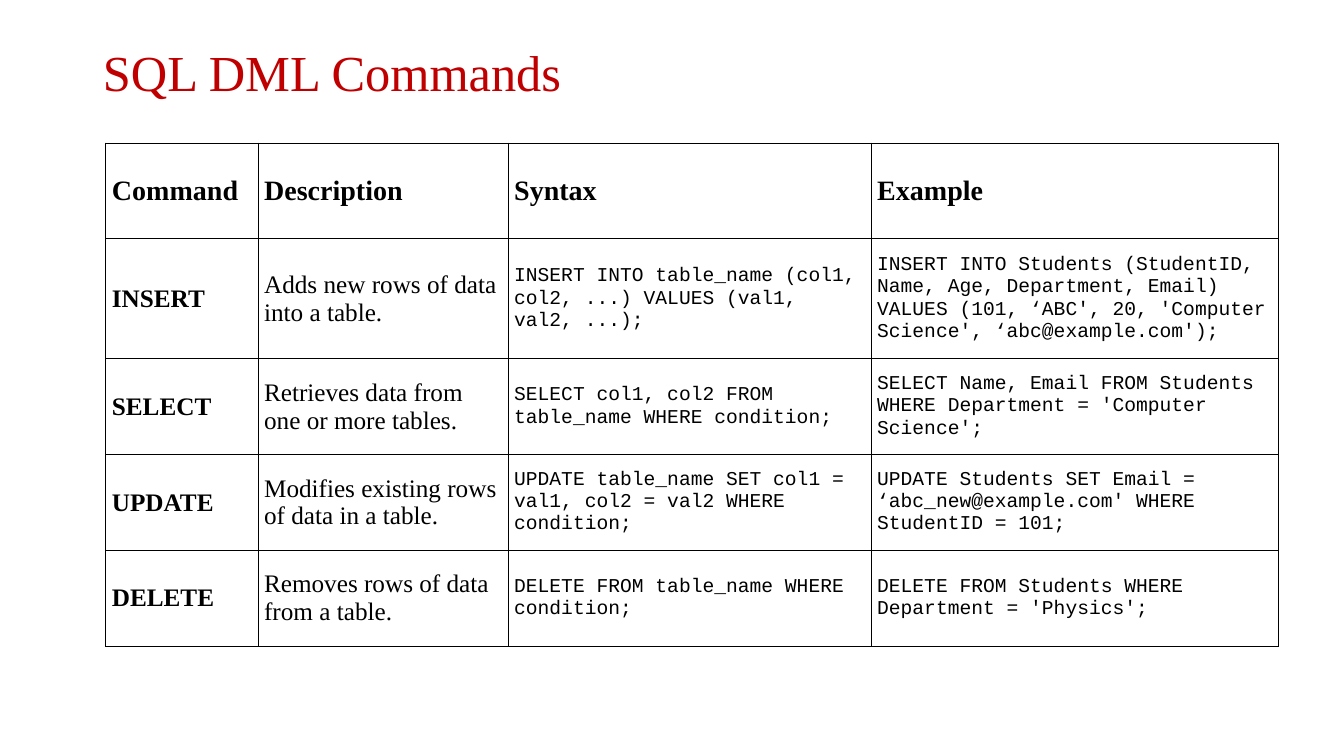
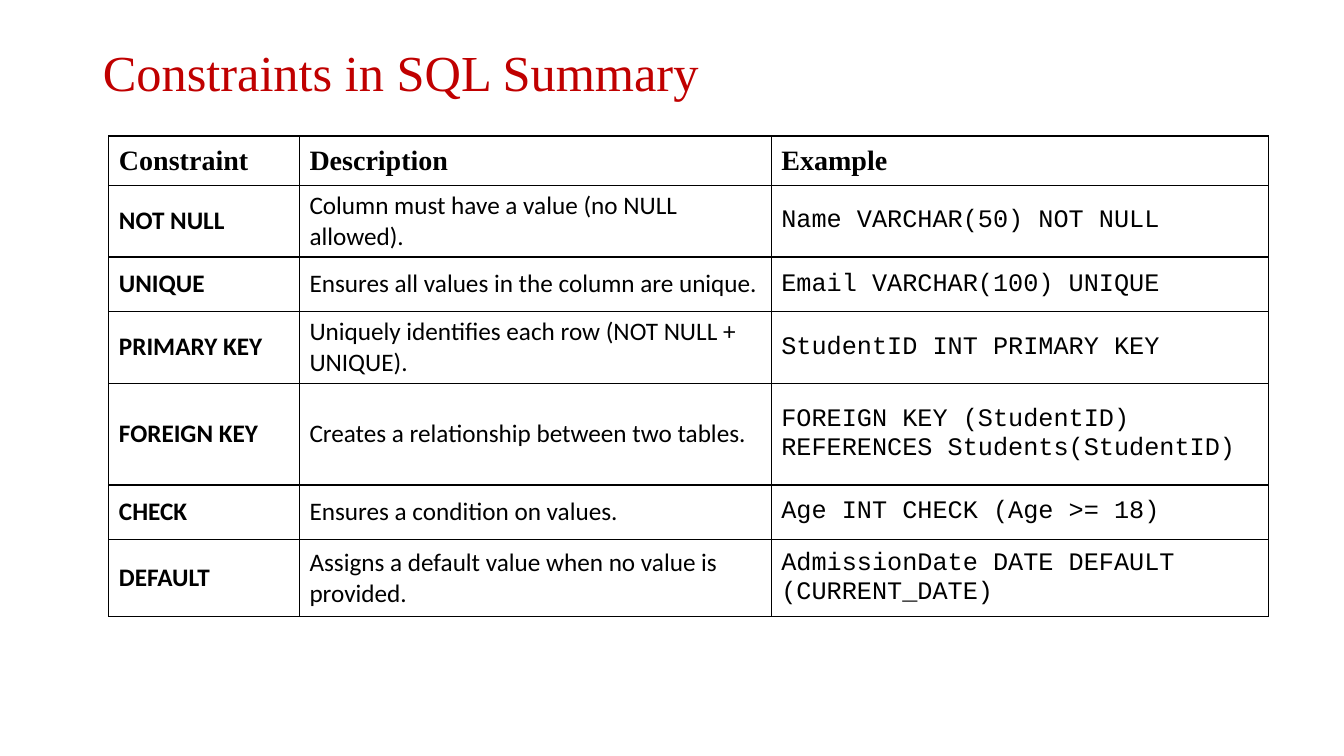
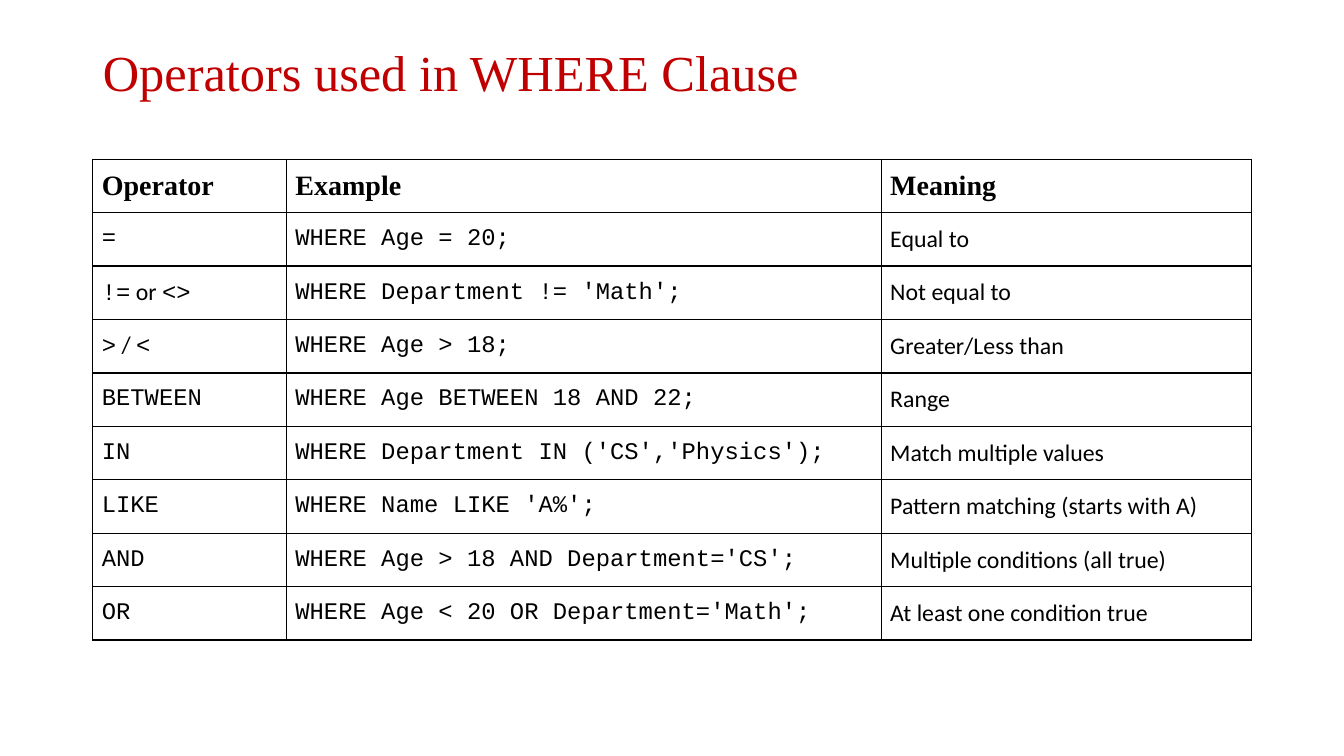
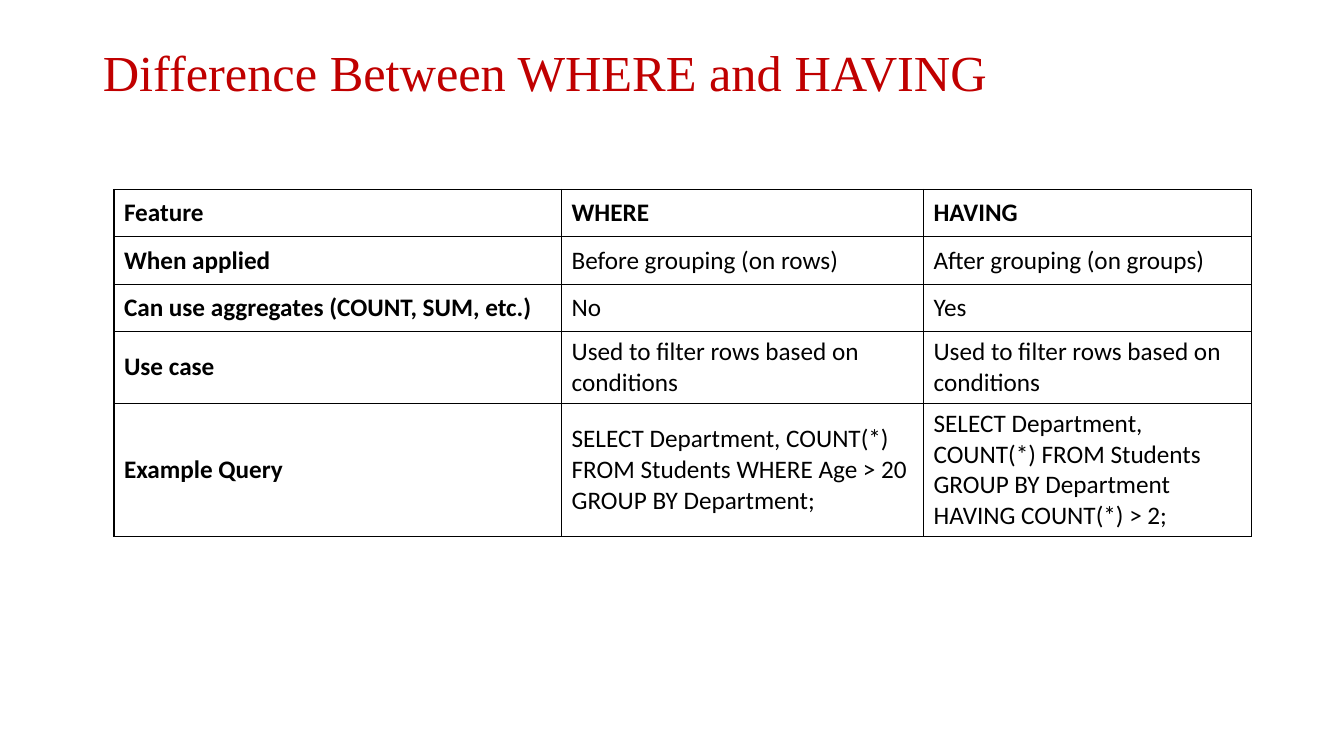
from lxml.etree import SubElement
from pptx import Presentation
from pptx.dml.color import RGBColor
from pptx.enum.text import MSO_ANCHOR as Anchor, PP_ALIGN as Align
from pptx.oxml.ns import qn
from pptx.util import Inches, Pt

COLORS = {"title": "C00000", "ink": "000000"}
SERIF, SANS, CODE = "Times New Roman", "Calibri", "Courier New"
TITLE_BOX = (0.92, 0.4, 11.5, 0.7)
HEADING = (SERIF, 20, True)

# Styles are (font, size, bold). A cell of several fonts is a list of (text, font).
TABLES = [
    {
        "title": "SQL DML Commands",
        "at": (1.05, 1.42),
        "columns": [1.51, 2.48, 3.6, 4.04],
        "heights": [0.95, 1.19, 0.95, 0.95, 0.95],
        "margins": (0.06, 0.03),
        "heading": HEADING,
        "styles": [(SERIF, 18, True), (SERIF, 18, False), (CODE, 14, False), (CODE, 14, False)],
        "rows": [
            ("Command", "Description", "Syntax", "Example"),
            ("INSERT", "Adds new rows of data into a table.",
             "INSERT INTO table_name (col1, col2, ...) VALUES (val1, val2, ...);",
             "INSERT INTO Students (StudentID, Name, Age, Department, Email) "
             "VALUES (101, ‘ABC', 20, 'Computer Science', ‘abc@example.com');"),
            ("SELECT", "Retrieves data from one or more tables.",
             "SELECT col1, col2 FROM table_name WHERE condition;",
             "SELECT Name, Email FROM Students WHERE Department = 'Computer Science';"),
            ("UPDATE", "Modifies existing rows of data in a table.",
             "UPDATE table_name SET col1 = val1, col2 = val2 WHERE condition;",
             "UPDATE Students SET Email = ‘abc_new@example.com' WHERE StudentID = 101;"),
            ("DELETE", "Removes rows of data from a table.",
             "DELETE FROM table_name WHERE condition;",
             "DELETE FROM Students WHERE Department = 'Physics';"),
        ],
    },
    {
        "title": "Constraints in SQL Summary",
        "at": (1.08, 1.35),
        "columns": [1.89, 4.68, 4.93],
        "heights": [0.49, 0.54, 0.54, 0.54, 1.01, 0.54, 0.77],
        "margins": (0.1, 0.05),
        "heading": HEADING,
        "styles": [(SANS, 18, True), (SANS, 18, False), (CODE, 18, False)],
        "rows": [
            ("Constraint", "Description", "Example"),
            ("NOT NULL", "Column must have a value (no NULL allowed).",
             "Name VARCHAR(50) NOT NULL"),
            ("UNIQUE", "Ensures all values in the column are unique.",
             "Email VARCHAR(100) UNIQUE"),
            ("PRIMARY KEY", "Uniquely identifies each row (NOT NULL + UNIQUE).",
             "StudentID INT PRIMARY KEY"),
            ("FOREIGN KEY", "Creates a relationship between two tables.",
             "FOREIGN KEY (StudentID) REFERENCES Students(StudentID)"),
            ("CHECK", "Ensures a condition on values.", "Age INT CHECK (Age >= 18)"),
            ("DEFAULT", "Assigns a default value when no value is provided.",
             "AdmissionDate DATE DEFAULT (CURRENT_DATE)"),
        ],
    },
    {
        "title": "Operators used in WHERE Clause",
        "at": (0.92, 1.58),
        "columns": [1.92, 5.9, 3.67],
        "heights": [0.53] * 9,
        "margins": (0.09, 0.05),
        "heading": HEADING,
        "styles": [(CODE, 17, False), (CODE, 17, False), (SANS, 17, False)],
        "rows": [
            ("Operator", "Example", "Meaning"),
            ("=", "WHERE Age = 20;", "Equal to"),
            ([("!=", CODE), (" or ", SANS), ("<>", CODE)],
             "WHERE Department != 'Math';", "Not equal to"),
            ([(">", CODE), (" / ", SANS), ("<", CODE)], "WHERE Age > 18;", "Greater/Less than"),
            ("BETWEEN", "WHERE Age BETWEEN 18 AND 22;", "Range"),
            ("IN", "WHERE Department IN ('CS','Physics');", "Match multiple values"),
            ("LIKE", "WHERE Name LIKE 'A%';", "Pattern matching (starts with A)"),
            ("AND", "WHERE Age > 18 AND Department='CS';", "Multiple conditions (all true)"),
            ("OR", "WHERE Age < 20 OR Department='Math';", "At least one condition true"),
        ],
    },
    {
        "title": "Difference Between WHERE and HAVING",
        "at": (1.13, 1.88),
        "columns": [4.44, 3.59, 3.25],
        "heights": [0.47] * 5,
        "margins": (0.1, 0.05),
        "heading": (SANS, 18, True),
        "styles": [(SANS, 18, True), (SANS, 18, False), (SANS, 18, False)],
        "rows": [
            ("Feature", "WHERE", "HAVING"),
            ("When applied", "Before grouping (on rows)", "After grouping (on groups)"),
            ("Can use aggregates (COUNT, SUM, etc.)", "No", "Yes"),
            ("Use case", "Used to filter rows based on conditions",
             "Used to filter rows based on conditions"),
            ("Example Query",
             "SELECT Department, COUNT(*) FROM Students WHERE Age > 20 GROUP BY Department;",
             "SELECT Department, COUNT(*) FROM Students GROUP BY Department HAVING COUNT(*) > 2;"),
        ],
    },
]


def add_run(paragraph, text, font, size, bold, color):
    run = paragraph.add_run()
    run.text = text
    run.font.name = font
    run.font.size = Pt(size)
    run.font.bold = bold
    run.font.color.rgb = RGBColor.from_string(COLORS[color])


def place_title(layout):
    """Set the title position and anchor that every slide inherits."""
    title = layout.placeholders[0]
    title.left, title.top, title.width, title.height = map(Inches, TITLE_BOX)
    title.text_frame.vertical_anchor = Anchor.MIDDLE


def add_title(slide, text):
    paragraph = slide.shapes.title.text_frame.paragraphs[0]
    paragraph.alignment = Align.LEFT
    paragraph.line_spacing = 0.9
    add_run(paragraph, text, SERIF, 36, False, "title")


def add_borders(cell):
    properties = cell._tc.get_or_add_tcPr()
    for side in ("a:lnL", "a:lnR", "a:lnT", "a:lnB"):
        line = SubElement(properties, qn(side), w=str(Pt(1)))
        fill = SubElement(line, qn("a:solidFill"))
        SubElement(fill, qn("a:srgbClr"), val=COLORS["ink"])


def fill_cell(cell, content, style, margins):
    add_borders(cell)
    cell.fill.background()
    cell.vertical_anchor = Anchor.MIDDLE
    cell.margin_left = cell.margin_right = Inches(margins[0])
    cell.margin_top = cell.margin_bottom = Inches(margins[1])
    font, size, bold = style
    pieces = [(content, font)] if isinstance(content, str) else content
    for text, piece_font in pieces:
        add_run(cell.text_frame.paragraphs[0], text, piece_font, size, bold, "ink")


def add_grid(slide, data):
    columns, heights, rows = data["columns"], data["heights"], data["rows"]
    box = (*data["at"], sum(columns), sum(heights))
    table = slide.shapes.add_table(len(rows), len(columns), *map(Inches, box)).table
    table.first_row = table.horz_banding = False
    for column, width in zip(table.columns, columns):
        column.width = Inches(width)
    for row, height in zip(table.rows, heights):
        row.height = Inches(height)
    for row_index, row in enumerate(rows):
        for column_index, content in enumerate(row):
            style = data["styles"][column_index] if row_index else data["heading"]
            fill_cell(table.cell(row_index, column_index), content, style, data["margins"])


def main():
    presentation = Presentation()
    presentation.slide_width, presentation.slide_height = Inches(13.33), Inches(7.5)
    layout = presentation.slide_layouts.get_by_name("Title Only")
    place_title(layout)
    for data in TABLES:
        slide = presentation.slides.add_slide(layout)
        add_title(slide, data["title"])
        add_grid(slide, data)
    presentation.save("out.pptx")


if __name__ == "__main__":
    main()
